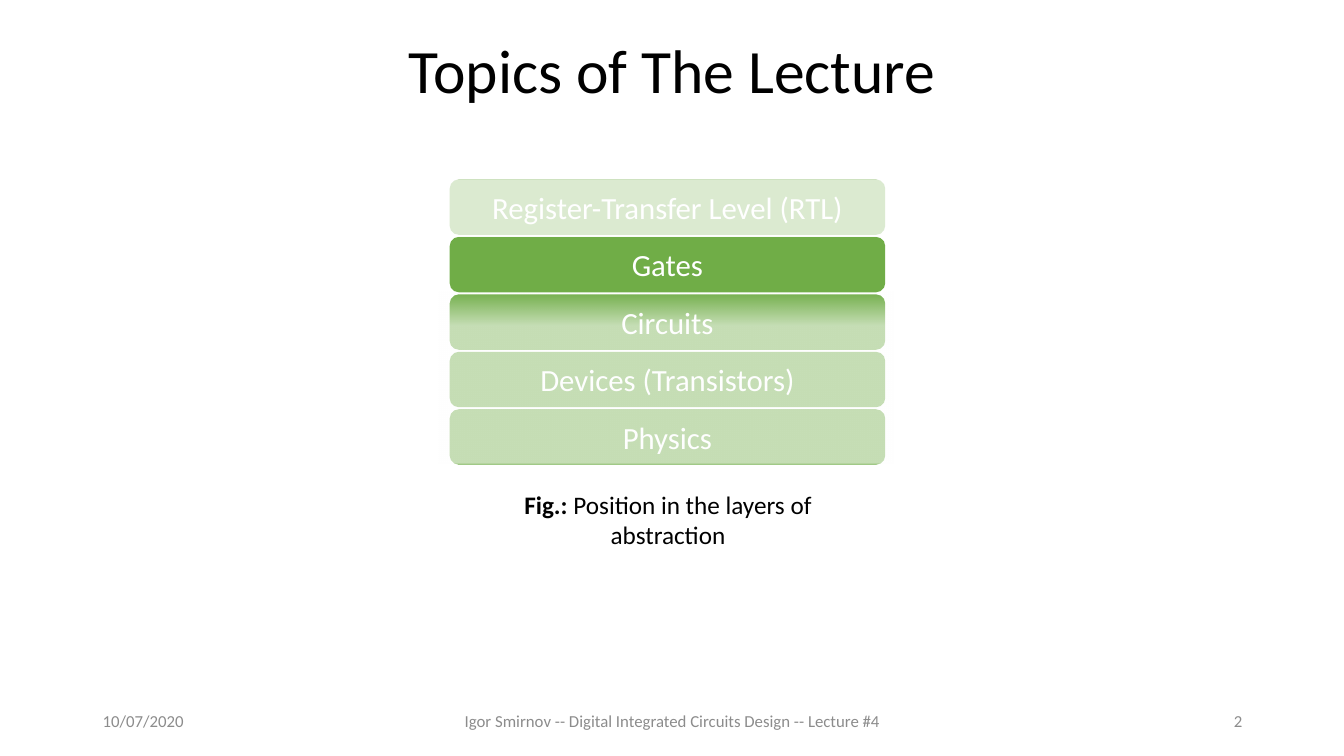
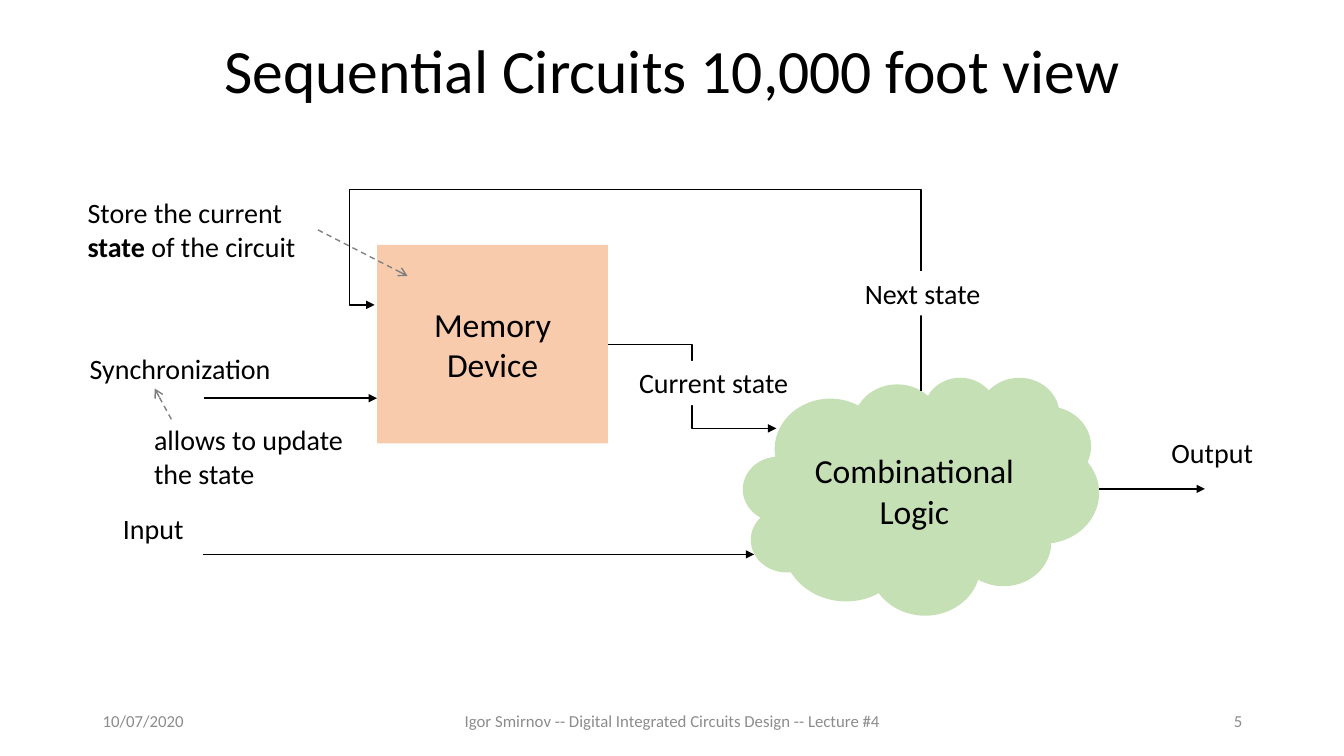
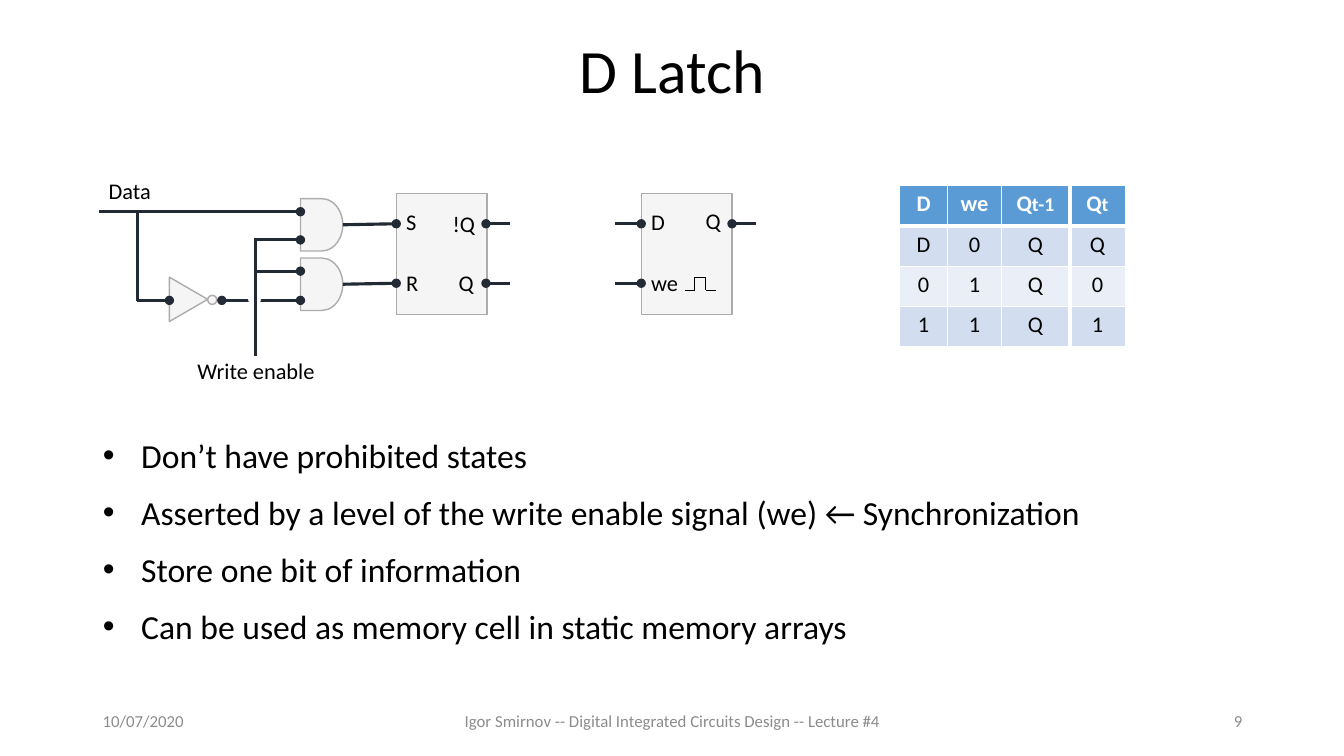
"""Build three lecture slides about sequential circuits and the D latch."""
import pptx
import pptx.util
import pptx.dml.color
import pptx.enum.dml
import pptx.enum.shapes
import pptx.enum.text
import pptx.oxml
import pptx.oxml.ns
import lxml.etree

Inches = pptx.util.Inches
Pt = pptx.util.Pt
RGBColor = pptx.dml.color.RGBColor
SHAPES = pptx.enum.shapes.MSO_SHAPE
CONNECTORS = pptx.enum.shapes.MSO_CONNECTOR
ALIGN = pptx.enum.text.PP_ALIGN
ANCHOR = pptx.enum.text.MSO_ANCHOR
qn = pptx.oxml.ns.qn

COLORS = {
    "black": "000000", "white": "FFFFFF", "footer": "8C8C8C",
    "layer": "70AD47", "logic": "C5E0B4", "memory": "F8CBAD",
    "callout": "808080", "gate": "F5F5F5", "gate_line": "AFABAB",
    "wire": "222A35", "header": "5B9BD5", "band_dark": "D2DEEF",
    "band_light": "EAEFF7",
}
RGB = {name: RGBColor.from_string(value) for name, value in COLORS.items()}


def write_text(frame, *pieces, size=16, color="black", bold=False, align=ALIGN.LEFT,
               anchor=None, wrap=None, new_paragraph=False):
    """Write pieces, each a string or a (string, format) pair, as one paragraph."""
    if wrap is not None:
        frame.word_wrap = wrap
    if anchor is not None:
        frame.vertical_anchor = anchor
    paragraph = frame.add_paragraph() if new_paragraph else frame.paragraphs[0]
    paragraph.alignment = align
    for piece in pieces:
        text, changes = (piece, {}) if isinstance(piece, str) else piece
        run = paragraph.add_run()
        run.text = text
        run.font.name = "Calibri"
        run.font.size = Pt(changes.get("size", size))
        run.font.bold = changes.get("bold", bold)
        run.font.color.rgb = RGB[color]
    return paragraph


def draw_line(slide, x1, y1, x2, y2, color="wire", width=2.25, head=None, tail=None,
              kind=CONNECTORS.STRAIGHT):
    """Draw a connector without shadow, with optional line ends."""
    connector = slide.shapes.add_connector(kind, Inches(x1), Inches(y1), Inches(x2), Inches(y2))
    connector.line.color.rgb = RGB[color]
    connector.line.width = Pt(width)
    properties = connector._element.spPr
    outline = properties.find(qn("a:ln"))
    for tag, end in (("a:headEnd", head), ("a:tailEnd", tail)):
        if end:
            lxml.etree.SubElement(outline, qn(tag), type=end)
    lxml.etree.SubElement(properties, qn("a:effectLst"))
    return connector


presentation = pptx.Presentation()
presentation.slide_width = Inches(13.33)
presentation.slide_height = Inches(7.5)

slides = []
for title, number, layout in (
    ("Topics of The Lecture", "2", 5),
    ("Sequential Circuits 10,000 foot view", "5", 5),
    ("D Latch", "9", 1),
):
    slide = presentation.slides.add_slide(presentation.slide_layouts[layout])
    slides.append(slide)
    heading = slide.shapes.title
    heading.left, heading.top = Inches(0.92), Inches(0)
    heading.width, heading.height = Inches(11.5), Inches(1.45)
    paragraph = write_text(heading.text_frame, title, size=44, align=ALIGN.CENTER,
                           anchor=ANCHOR.MIDDLE)
    paragraph.line_spacing = 0.9
    for text, left, width, align in (
        ("10/07/2020", 0.92, 3, ALIGN.LEFT),
        ("Igor Smirnov -- Digital Integrated Circuits Design -- Lecture #4", 4.42, 4.5, ALIGN.CENTER),
        (number, 9.42, 3, ALIGN.RIGHT),
    ):
        footer = slide.shapes.add_textbox(Inches(left), Inches(6.95), Inches(width), Inches(0.4))
        write_text(footer.text_frame, text, size=12, color="footer", align=align,
                   anchor=ANCHOR.MIDDLE, wrap=True)
topics, overview, latch = slides

layers = ("Register-Transfer Level (RTL)", "Gates", "Circuits", "Devices (Transistors)", "Physics")
for index, name in enumerate(layers):
    layer = topics.shapes.add_shape(SHAPES.ROUNDED_RECTANGLE, Inches(4.46),
                                    Inches(1.78 + 0.57 * index), Inches(4.32), Inches(0.55))
    layer.shadow.inherit = False
    layer.fill.solid()
    layer.fill.fore_color.rgb = RGB["layer"]
    layer.line.fill.background()
    write_text(layer.text_frame, name, size=22, color="white", align=ALIGN.CENTER,
               anchor=ANCHOR.MIDDLE, wrap=False)

white_stop = '<a:srgbClr val="FFFFFF"><a:alpha val="{}"/></a:srgbClr>'
fade_fill = (
    '<a:gradFill {}><a:gsLst><a:gs pos="0">' + white_stop.format(0)
    + '</a:gs><a:gs pos="20000">' + white_stop.format(60000)
    + '</a:gs></a:gsLst><a:lin ang="5400000" scaled="0"/></a:gradFill>'
)
veil_fill = "<a:solidFill {}>" + white_stop.format(75000) + "</a:solidFill>"
for left, top, height, fill in ((4.35, 2.89, 1.71, fade_fill), (4.37, 1.78, 0.57, veil_fill)):
    veil = topics.shapes.add_shape(SHAPES.RECTANGLE, Inches(left), Inches(top),
                                   Inches(4.51), Inches(height))
    veil.shadow.inherit = False
    veil.line.fill.background()
    geometry = veil._element.spPr.find(qn("a:prstGeom"))
    geometry.addnext(pptx.oxml.parse_xml(fill.format(pptx.oxml.ns.nsdecls("a"))))

caption = topics.shapes.add_textbox(Inches(4.62), Inches(4.8), Inches(4.01), Inches(0.71))
write_text(caption.text_frame, ("Fig.: ", {"bold": True}), "Position in the layers of abstraction",
           size=18, align=ALIGN.CENTER, wrap=True)

for kind, left, top, width, height, color, text, indent in (
    (SHAPES.CLOUD, 7.37, 3.74, 3.53, 2.36, "logic", "Combinational Logic", 0.12),
    (SHAPES.RECTANGLE, 3.74, 2.43, 2.29, 1.97, "memory", "Memory Device", 0),
):
    block = overview.shapes.add_shape(kind, Inches(left), Inches(top), Inches(width), Inches(height))
    block.shadow.inherit = False
    block.fill.solid()
    block.fill.fore_color.rgb = RGB[color]
    block.line.fill.background()
    paragraph = write_text(block.text_frame, text, size=24, align=ALIGN.CENTER,
                           anchor=ANCHOR.MIDDLE, wrap=True)
    paragraph._p.get_or_add_pPr().set("marL", str(Inches(indent)))

signal = {"color": "black", "width": 1, "tail": "triangle"}
draw_line(overview, 6.03, 3.42, 7.7, 4.25, kind=CONNECTORS.ELBOW, **signal)
for x1, x2, y in ((2.01, 7.48, 5.5), (2.02, 3.74, 3.95), (10.9, 11.95, 4.85)):
    draw_line(overview, x1, y, x2, y, **signal)

feedback = draw_line(overview, 6, 0.74, 6.85, 6.16, kind=CONNECTORS.ELBOW, **signal)
frame = feedback._element.spPr.find(qn("a:xfrm"))
frame.set("rot", "16200000")
frame.set("flipV", "1")
geometry = feedback._element.spPr.find(qn("a:prstGeom"))
geometry.set("prst", "bentConnector4")
guides = geometry.find(qn("a:avLst"))
if guides is None:
    guides = lxml.etree.SubElement(geometry, qn("a:avLst"))
for name, value in (("adj1", 234900), ("adj2", 104600)):
    lxml.etree.SubElement(guides, qn("a:gd"), name=name, fmla=f"val {value}")

for text, left, top, width in (
    ("Next state", 8.48, 2.69, 1.36),
    ("Current state", 6.24, 3.58, 1.7),
    ("Input", 1.12, 5.03, 0.81),
    ("Output", 11.52, 4.27, 1.02),
    ("Synchronization", 0.79, 3.44, 2.01),
):
    label = overview.shapes.add_textbox(Inches(left), Inches(top), Inches(width), Inches(0.44))
    label.fill.solid()
    label.fill.fore_color.rgb = RGB["white"]
    write_text(label.text_frame, text, size=20, wrap=False)

for left, top, adjustments, pieces in (
    (0.77, 1.58, (0.504, -0.014, 0.833, -0.393),
     ("Store the current ", ("state", {"bold": True}), " of the circuit")),
    (1.43, 3.83, (0.238, 0.885, 0.017, 0.956), ("allows to update the state",)),
):
    callout = overview.shapes.add_shape(SHAPES.LINE_CALLOUT_1_NO_BORDER, Inches(left), Inches(top),
                                        Inches(2.35), Inches(1.39))
    callout.shadow.inherit = False
    callout.fill.background()
    callout.line.color.rgb = RGB["callout"]
    callout.line.width = Pt(1)
    callout.line.dash_style = pptx.enum.dml.MSO_LINE.DASH
    for index, value in enumerate(adjustments):
        callout.adjustments[index] = value
    properties = callout._element.spPr
    properties.find(qn("a:xfrm")).set("flipH", "1")
    lxml.etree.SubElement(properties.find(qn("a:ln")), qn("a:tailEnd"), type="arrow")
    write_text(callout.text_frame, *pieces, size=20, anchor=ANCHOR.MIDDLE, wrap=True)

body = latch.placeholders[1]
body.left, body.top, body.width, body.height = Inches(0.92), Inches(4.26), Inches(11.5), Inches(2.05)
body.text_frame.auto_size = pptx.enum.text.MSO_AUTO_SIZE.NONE
for index, text in enumerate((
    "Don’t have prohibited states",
    "Asserted by a level of the write enable signal (we) ← Synchronization",
    "Store one bit of information",
    "Can be used as memory cell in static memory arrays",
)):
    paragraph = write_text(body.text_frame, text, size=24, anchor=ANCHOR.TOP,
                           new_paragraph=index > 0)
    paragraph.space_before = Pt(12)
    properties = paragraph._p.get_or_add_pPr()
    properties.set("marL", str(Inches(0.38)))
    properties.set("indent", str(Inches(-0.38)))
    lxml.etree.SubElement(properties, qn("a:buFont"), typeface="Arial")
    lxml.etree.SubElement(properties, qn("a:buChar"), char="•")

for kind, left, top, width, height, rotation in (
    (SHAPES.RECTANGLE, 3.93, 1.92, 0.9, 1.2, 0),
    (SHAPES.RECTANGLE, 6.36, 1.92, 0.9, 1.2, 0),
    (SHAPES.FLOWCHART_DELAY, 2.98, 1.97, 0.42, 0.52, 0),
    (SHAPES.FLOWCHART_DELAY, 2.98, 2.56, 0.42, 0.52, 0),
    (SHAPES.ISOSCELES_TRIANGLE, 1.65, 2.78, 0.44, 0.38, 90),
    (SHAPES.OVAL, 2.06, 2.93, 0.09, 0.09, 0),
):
    part = latch.shapes.add_shape(kind, Inches(left), Inches(top), Inches(width), Inches(height))
    part.rotation = rotation
    part.shadow.inherit = False
    part.fill.solid()
    part.fill.fore_color.rgb = RGB["gate"]
    part.line.color.rgb = RGB["gate_line"]
    part.line.width = Pt(1)

draw_line(latch, 2.2, 2.98, 2.98, 2.98, head="oval", tail="oval")
crossing = latch.shapes.add_shape(SHAPES.OVAL, Inches(2.46), Inches(2.9), Inches(0.13), Inches(0.12))
crossing.shadow.inherit = False
crossing.fill.solid()
crossing.fill.fore_color.rgb = RGB["white"]
crossing.line.color.rgb = RGB["white"]
crossing.line.width = Pt(0.25)

for y in (2.22, 2.81):
    draw_line(latch, 3.4, y + 0.01, 3.93, y, tail="oval")
    draw_line(latch, 5.06, y, 4.82, y, tail="oval")
    draw_line(latch, 6.1, y, 6.36, y, tail="oval")
for x1, x2, y in ((7.5, 7.26, 2.22), (2.52, 2.98, 2.69), (2.52, 2.98, 2.38),
                  (0.98, 2.98, 2.1), (1.36, 1.68, 2.98)):
    draw_line(latch, x1, y, x2, y, tail="oval")
for x, y1, y2 in ((2.53, 2.36, 3.53), (1.36, 2.1, 2.99)):
    draw_line(latch, x, y1, x, y2)

pulse = ((6.79, 2.88), (6.89, 2.88), (6.89, 2.75), (7, 2.75), (7, 2.88), (7.1, 2.88))
for start, end in zip(pulse, pulse[1:]):
    draw_line(latch, *start, *end, color="black", width=1)

for text, left, top, width in (
    ("S", 3.93, 2.02, 0.31), ("R", 3.93, 2.62, 0.34),
    ("!Q", 4.39, 2.04, 0.43), ("Q", 4.45, 2.62, 0.35),
    ("D", 6.36, 2.02, 0.34), ("we", 6.36, 2.62, 0.49), ("Q", 6.9, 2.01, 0.35),
    ("Data", 0.98, 1.71, 0.64), ("Write enable", 1.86, 3.49, 1.39),
):
    label = latch.shapes.add_textbox(Inches(left), Inches(top), Inches(width), Inches(0.37))
    write_text(label.text_frame, text, wrap=False)

small = {"size": 14}
rows = (
    (("D",), ("we",), ("Q", ("t-1", small)), ("Q", ("t", small))),
    ("D", "0", "Q", "Q"),
    ("0", "1", "Q", "0"),
    ("1", "1", "Q", "1"),
)
fills = ("header", "band_dark", "band_light", "band_dark")
table = latch.shapes.add_table(4, 4, Inches(8.92), Inches(1.84), Inches(2.24), Inches(1.6)).table
for column, width in zip(table.columns, (0.48, 0.53, 0.68, 0.55)):
    column.width = Inches(width)
for row_index, (row, fill) in enumerate(zip(rows, fills)):
    table.rows[row_index].height = Inches(0.4)
    is_header = row_index == 0
    for column_index, pieces in enumerate(row):
        cell = table.cell(row_index, column_index)
        cell.fill.solid()
        cell.fill.fore_color.rgb = RGB[fill]
        write_text(cell.text_frame, *pieces, bold=is_header, align=ALIGN.CENTER,
                   color="white" if is_header else "black")
        thick = {"lnL": column_index == 3, "lnR": column_index == 2,
                 "lnT": row_index == 1, "lnB": is_header}
        for position, (tag, is_thick) in enumerate(thick.items()):
            border = lxml.etree.Element(qn(f"a:{tag}"), w=str(Pt(3 if is_thick else 1)))
            solid = lxml.etree.SubElement(border, qn("a:solidFill"))
            lxml.etree.SubElement(solid, qn("a:srgbClr"), val=COLORS["white"])
            cell._tc.get_or_add_tcPr().insert(position, border)

presentation.save("out.pptx")
